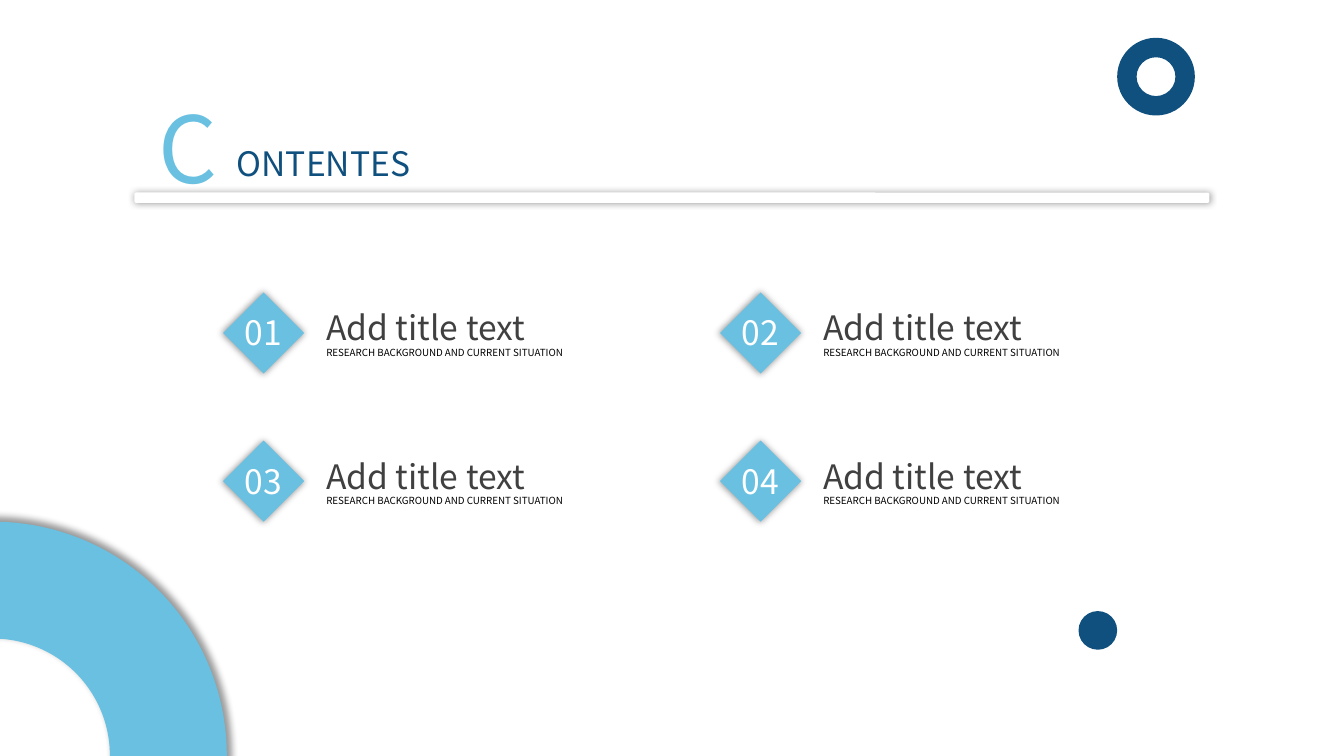
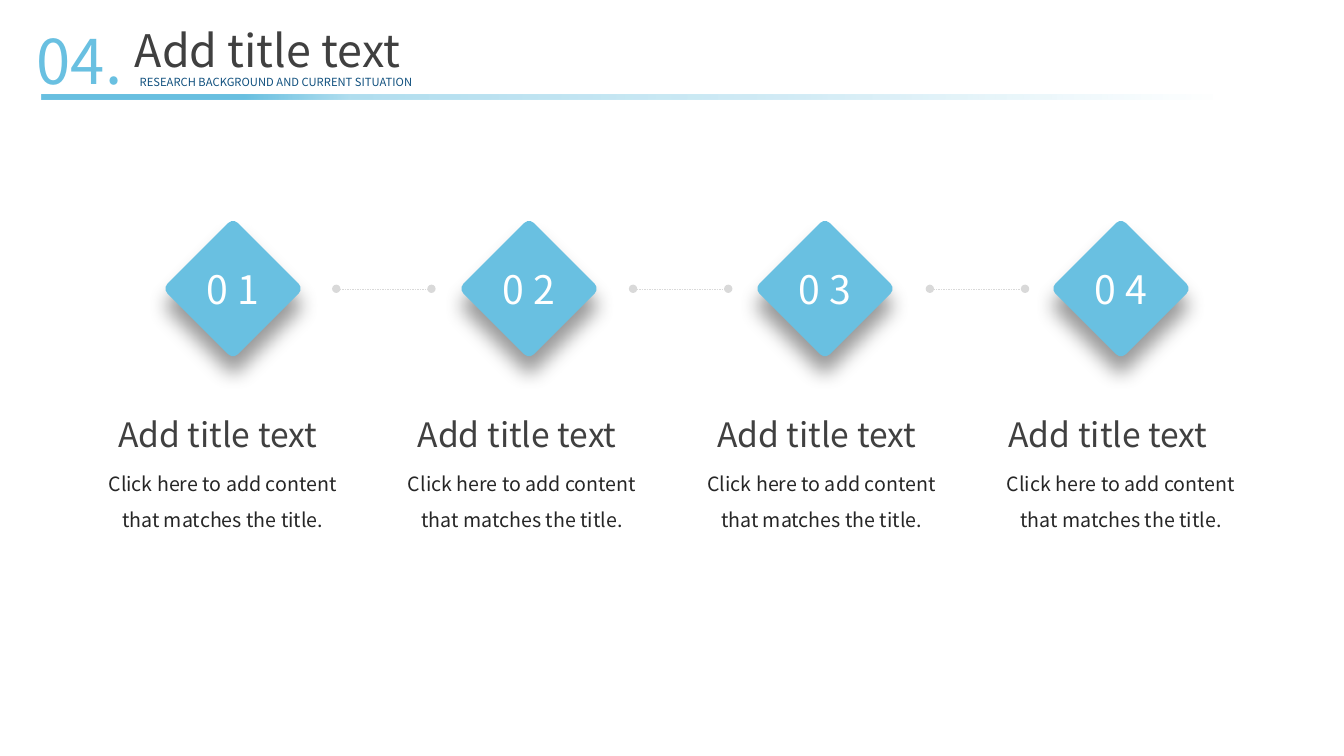
import math

from pptx import Presentation
from pptx.dml.color import RGBColor
from pptx.enum.dml import MSO_LINE
from pptx.enum.shapes import MSO_CONNECTOR, MSO_SHAPE
from pptx.enum.text import MSO_ANCHOR, PP_ALIGN
from pptx.oxml import parse_xml
from pptx.oxml.ns import nsdecls, qn
from pptx.util import Pt

LEFT, CENTER, JUSTIFY = PP_ALIGN.LEFT, PP_ALIGN.CENTER, PP_ALIGN.JUSTIFY
MIDDLE = MSO_ANCHOR.MIDDLE
DONUT, OVAL = MSO_SHAPE.DONUT, MSO_SHAPE.OVAL
RECTANGLE, ROUNDED = MSO_SHAPE.RECTANGLE, MSO_SHAPE.ROUNDED_RECTANGLE
STRAIGHT, DASH = MSO_CONNECTOR.STRAIGHT, MSO_LINE.DASH

FONT = "Noto Sans CJK SC"
COLORS = {
    "navy": "10507E",
    "sky": "69C0E1",
    "white": "FFFFFF",
    "title": "404040",
    "body": "262626",
    "black": "000000",
    "link": "D9D9D9",
}
# Blur, distance (points), direction (degrees) and scale (percent)
GLOW = (5, 0, 0, 100)
WIDE_GLOW = (5, 0, 0, 102)
DROP = (14, 12, 90, 100)
# Position and opacity, in percent, running from right to left
FADE_STOPS = [(1, 0), (37, 30), (74, 52), (83, 100), (100, 100)]

TITLE = "Add title text"
SUBTITLE = "RESEARCH BACKGROUND AND CURRENT SITUATION"
STEP_TEXT = "Click here to add content that matches the title."


def color(name):
    return RGBColor.from_string(COLORS[name])


def write(frame, text, size, color_name, align=LEFT, spacing=None):
    paragraph = frame.paragraphs[0]
    paragraph.alignment = align
    if spacing:
        paragraph.line_spacing = spacing
    run = paragraph.add_run()
    run.text = text
    run.font.name = FONT
    run.font.size = Pt(size)
    run.font.color.rgb = color(color_name)


def add_text(slide, box, text, size, color_name, align=JUSTIFY, spacing=None):
    text_box = slide.shapes.add_textbox(*map(Pt, box))
    text_box.text_frame.word_wrap = True
    write(text_box.text_frame, text, size, color_name, align, spacing)


def paint(shape, fill, shadow=None):
    """Give a shape a plain fill, no outline and an optional soft shadow."""
    shape.fill.solid()
    shape.fill.fore_color.rgb = color(fill)
    shape.line.fill.background()
    shape.shadow.inherit = False
    if shadow:
        blur, distance, direction, scale = shadow
        effects = shape._element.spPr.find(qn("a:effectLst"))
        effects.append(parse_xml(
            f'<a:outerShdw {nsdecls("a")} blurRad="{Pt(blur)}" '
            f'dist="{Pt(distance)}" dir="{direction * 60000}" '
            f'sx="{scale * 1000}" sy="{scale * 1000}" '
            f'algn="ctr" rotWithShape="0"><a:srgbClr val="{COLORS["black"]}">'
            '<a:alpha val="40000"/></a:srgbClr></a:outerShdw>'))


def add_shape(slide, kind, box, fill, shadow=None):
    shape = slide.shapes.add_shape(kind, *map(Pt, box))
    paint(shape, fill, shadow)
    return shape


def add_fading_rule(slide, box):
    rule = add_shape(slide, RECTANGLE, box, "sky")
    rule.fill.gradient()
    rule.fill.gradient_angle = 180
    stops = "".join(
        f'<a:gs pos="{position * 1000}"><a:srgbClr val="{COLORS["sky"]}">'
        f'<a:alpha val="{opacity * 1000}"/></a:srgbClr></a:gs>'
        for position, opacity in FADE_STOPS)
    gradient = rule._element.spPr.find(qn("a:gradFill"))
    gradient.replace(gradient.find(qn("a:gsLst")), parse_xml(
        f'<a:gsLst {nsdecls("a")}>{stops}</a:gsLst>'))


def add_step_diamond(slide, left, top, size, number, radius=5):
    """Draw an upright diamond with rounded corners around its number."""
    reach = size / 2 - radius
    center_x, center_y = left + size / 2, top + size / 2
    points = []
    for corner in range(0, 360, 90):
        axis = math.radians(corner)
        for turn in (-45, -15, 15, 45):
            angle = math.radians(corner + turn)
            x = center_x + reach * math.cos(axis) + radius * math.cos(angle)
            y = center_y + reach * math.sin(axis) + radius * math.sin(angle)
            points.append((Pt(x), Pt(y)))
    builder = slide.shapes.build_freeform(*points[0])
    builder.add_line_segments(points[1:], close=True)
    diamond = builder.convert_to_shape()
    paint(diamond, "sky", DROP)
    frame = diamond.text_frame
    frame.vertical_anchor = MIDDLE
    write(frame, f"0 {number}", 28, "white", CENTER)


def add_dotted_link(slide, left, top, width):
    link = slide.shapes.add_connector(
        STRAIGHT, Pt(left), Pt(top), Pt(left + width), Pt(top))
    link.line.color.rgb = color("link")
    link.line.width = Pt(0.25)
    link.line.dash_style = DASH
    properties = link._element.spPr
    for end in ("headEnd", "tailEnd"):
        properties.find(qn("a:ln")).append(
            parse_xml(f'<a:{end} {nsdecls("a")} type="oval"/>'))
    properties.append(parse_xml(f'<a:effectLst {nsdecls("a")}/>'))


def add_contents_heading(slide, left, top):
    add_text(slide, (left + 10.5, top, 55.5, 87), "C", 66, "sky", LEFT)
    add_text(slide, (left + 66, top + 37, 153.5, 36), "ONTENTES", 24, "navy")
    add_shape(slide, ROUNDED, (left, top + 76, 767.8, 7.4), "white", GLOW)


def add_contents_item(slide, left, top, number):
    diamond = add_shape(slide, RECTANGLE, (left + 5.8, top + 1.4, 41, 41),
                        "sky", WIDE_GLOW)
    diamond.rotation = 45
    add_text(slide, (left, top + 3.6, 52, 36), f"{number:02}", 24, "white",
             CENTER)
    add_text(slide, (left + 64, top, 205, 36), TITLE, 24, "title")
    add_text(slide, (left + 64, top + 28, 227.5, 16), SUBTITLE, 7, "black")


def add_section_header(slide, left, top, number):
    add_text(slide, (left + 70, top, 286, 46), TITLE, 32, "title")
    add_text(slide, (left, top, 79, 60), f"{number:02}.", 44, "sky", LEFT)
    add_text(slide, (left + 73.5, top + 37.5, 310, 17), SUBTITLE, 8, "navy")
    add_fading_rule(slide, (left + 10.8, top + 54.6, 847, 3.6))


def add_step_caption(slide, left, top, title_width):
    add_text(slide, (left, top + 33.4, 197, 55.5), STEP_TEXT, 14, "body",
             CENTER, 1.5)
    title_left = left + 178.4 - title_width
    add_text(slide, (title_left, top, title_width, 36), TITLE, 24, "title",
             CENTER)


def build_contents(slide):
    add_shape(slide, DONUT, (798, 27, 55.5, 55.5), "navy")
    add_contents_heading(slide, 96, 61.5)
    add_shape(slide, DONUT, (-172, 372.6, 334, 334), "sky", WIDE_GLOW)
    for index in range(4):
        column, row = divmod(index, 2)
        add_contents_item(slide, 162 + 355 * column, 216 + 105.8 * row,
                          1 + column + 2 * row)
    add_shape(slide, OVAL, (770.4, 436.5, 27.6, 27.6), "navy")


def build_steps(slide):
    add_section_header(slide, 19.2, 13, 4)
    title_widths = [167, 167, 167, 178.6]
    for index in range(len(title_widths)):
        add_step_diamond(slide, 118.2 + 211.4 * index, 157.9, 96.6, index + 1)
    for index in range(len(title_widths) - 1):
        add_dotted_link(slide, 240.2 + 212 * index, 206.3, 68)
    for index, title_width in enumerate(title_widths):
        add_step_caption(slide, 60.6 + 213.9 * index, 292, title_width)


def main():
    presentation = Presentation()
    presentation.slide_width = Pt(960)
    presentation.slide_height = Pt(540)
    blank = presentation.slide_layouts[6]
    for build in (build_contents, build_steps):
        build(presentation.slides.add_slide(blank))
    presentation.save("out.pptx")


if __name__ == "__main__":
    main()
